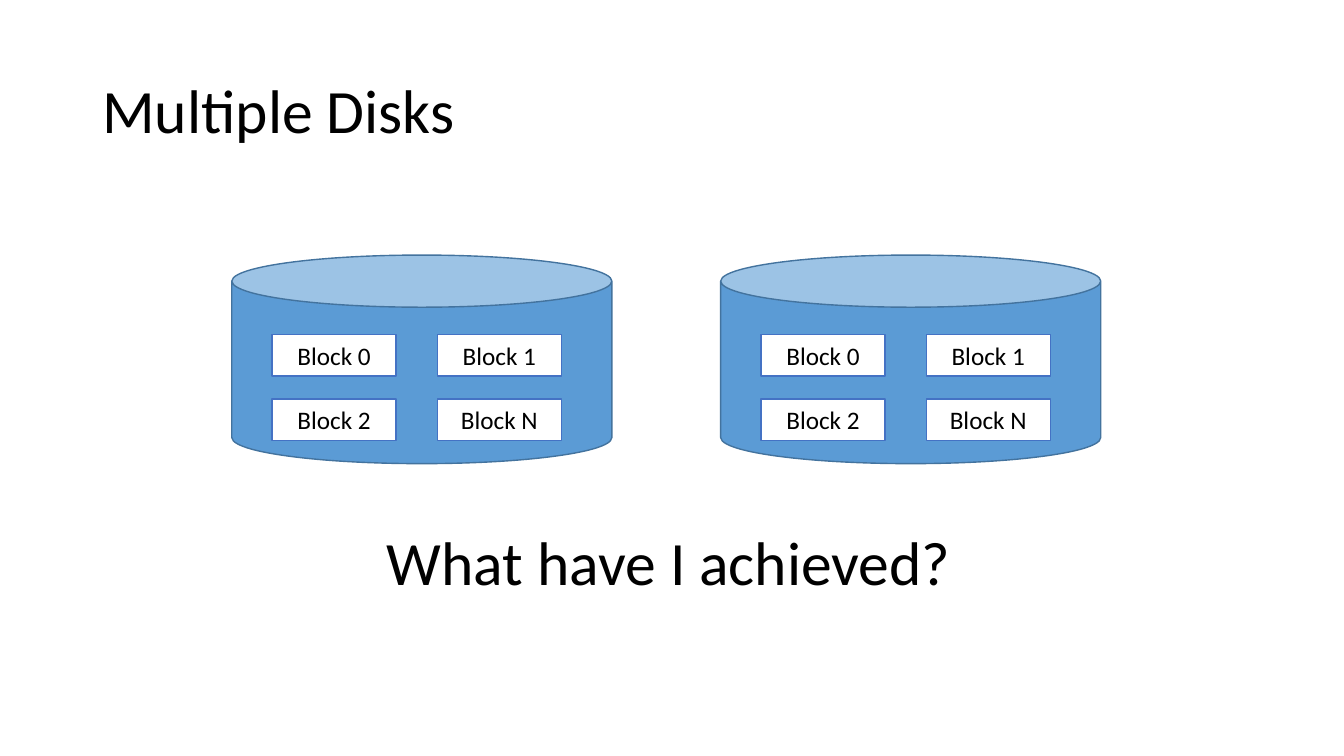
from pptx import Presentation
from pptx.dml.color import RGBColor
from pptx.enum.shapes import MSO_SHAPE
from pptx.enum.text import MSO_ANCHOR, MSO_AUTO_SIZE, PP_ALIGN
from pptx.util import Pt

CAN, RECTANGLE = MSO_SHAPE.CAN, MSO_SHAPE.RECTANGLE
TOP, MIDDLE = MSO_ANCHOR.TOP, MSO_ANCHOR.MIDDLE
CENTER, LEFT = PP_ALIGN.CENTER, PP_ALIGN.LEFT
GROW = MSO_AUTO_SIZE.SHAPE_TO_FIT_TEXT


def paint(shape, fill, line):
    shape.shadow.inherit = False
    shape.fill.solid()
    shape.fill.fore_color.rgb = RGBColor.from_string(fill)
    shape.line.color.rgb = RGBColor.from_string(line)
    shape.line.width = Pt(1)


def write(shape, text, size, align, anchor):
    frame = shape.text_frame
    frame.text = text
    frame.vertical_anchor = anchor
    paragraph = frame.paragraphs[0]
    paragraph.alignment = align
    font = paragraph.runs[0].font
    font.name = "Calibri"
    font.size = Pt(size)
    font.color.rgb = RGBColor.from_string("000000")


prs = Presentation()
prs.slide_width, prs.slide_height = Pt(960), Pt(540)
slide = prs.slides.add_slide(prs.slide_layouts[6])
shapes = slide.shapes

# Title
title = shapes.add_textbox(Pt(66), Pt(28.75), Pt(828), Pt(104.4))
title.text_frame.word_wrap = True
write(title, "Multiple Disks", 44, LEFT, MIDDLE)
title.text_frame.paragraphs[0].line_spacing = 0.9

# Two disks, each with a two by two grid of blocks
blocks = ["Block 0", "Block 1", "Block 2", "Block N"]
disk_top = 182.2
for disk_left in (165.6, 514.8):
    disk = shapes.add_shape(CAN, Pt(disk_left), Pt(disk_top), Pt(271.5), Pt(149))
    paint(disk, "5B9BD5", "43739E")
    for index, label in enumerate(blocks):
        row, column = divmod(index, 2)
        block = shapes.add_shape(
            RECTANGLE, Pt(disk_left + 28.8 + column * 118),
            Pt(disk_top + 56.9 + row * 46), Pt(88.6), Pt(29.5))
        paint(block, "FFFFFF", "4472C4")
        write(block, label, 18, CENTER, MIDDLE)

# Closing question
question = shapes.add_textbox(Pt(269.3), Pt(370.8), Pt(421.9), Pt(60.5))
question.text_frame.word_wrap = False
question.text_frame.auto_size = GROW
write(question, "What have I achieved?", 44, LEFT, TOP)

prs.save("out.pptx")
